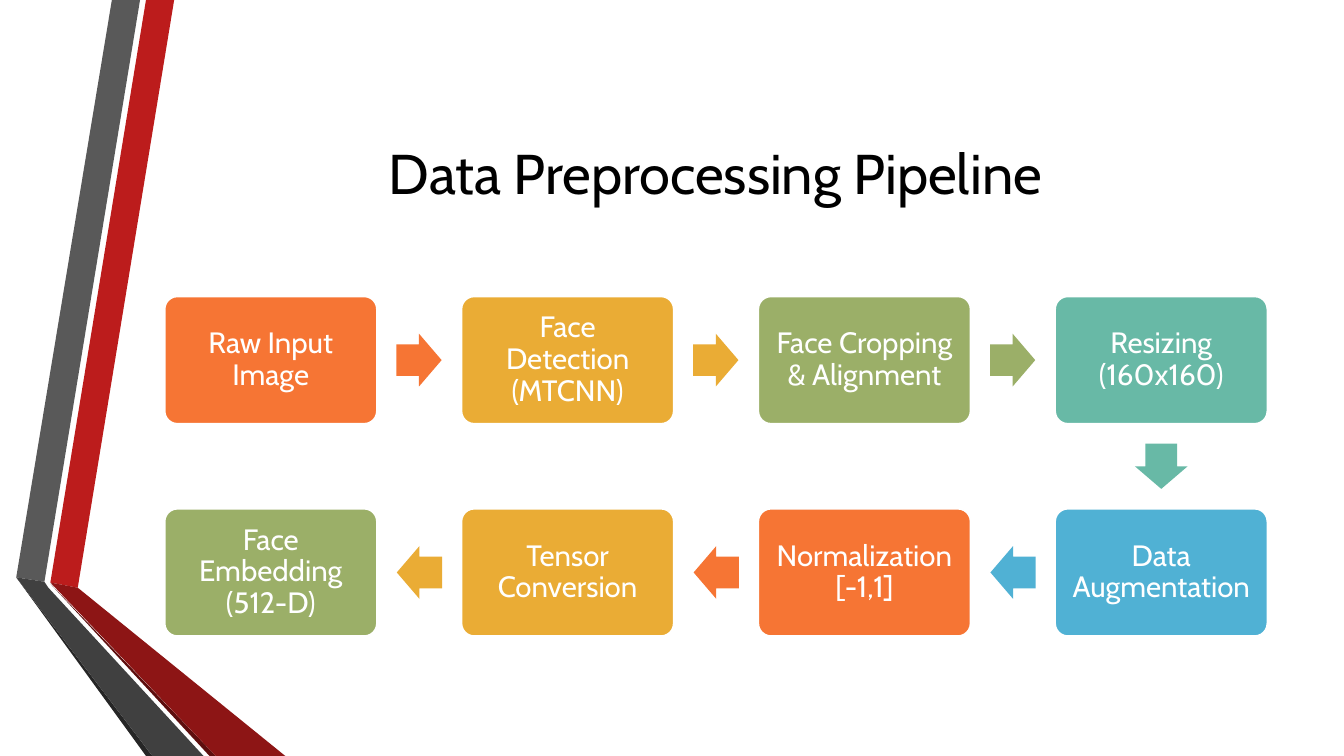
"""Build the data preprocessing pipeline slide."""
import pptx
import pptx.dml.color
import pptx.enum.shapes
import pptx.enum.text
import pptx.util

Cm = pptx.util.Cm
Pt = pptx.util.Pt
Kind = pptx.enum.shapes.MSO_SHAPE

theme = {
    "font": "Cabin", "title": 40, "label": 21,
    "black": "000000", "white": "FFFFFF",
    "red": "BC1C1C", "maroon": "8D1515", "wine": "5E0E0E",
    "gray": "595959", "dark": "404040", "coal": "262626",
    "orange": "F67534", "gold": "EAAC35", "green": "9BAF68",
    "teal": "68B9A6", "blue": "50B1D4",
}


def paint(shape, color):
    shape.shadow.inherit = False
    shape.fill.solid()
    shape.fill.fore_color.rgb = pptx.dml.color.RGBColor.from_string(theme[color])
    shape.line.fill.background()


def write(shape, text, size, color):
    frame = shape.text_frame
    frame.text = text
    frame.word_wrap = True
    frame.auto_size = pptx.enum.text.MSO_AUTO_SIZE.NONE
    frame.vertical_anchor = pptx.enum.text.MSO_ANCHOR.MIDDLE
    para = frame.paragraphs[0]
    para.alignment = pptx.enum.text.PP_ALIGN.CENTER
    font = para.runs[0].font
    font.name = theme["font"]
    font.size = Pt(theme[size])
    font.color.rgb = pptx.dml.color.RGBColor.from_string(theme[color])
    return para


deck = pptx.Presentation()
deck.slide_width, deck.slide_height = Cm(33.87), Cm(19.05)
slide = deck.slides.add_slide(deck.slide_layouts[5])
shapes = slide.shapes

bands = [
    ("red", [(1.27, 14.68), (1.96, 14.81), (4.39, 0), (3.68, 0)]),
    ("gray", [(3.53, 0), (2.82, 0), (0.41, 14.55), (1.12, 14.66)]),
    ("coal", [(0.41, 14.55), (3.68, 19.05), (3.84, 19.05)]),
    ("wine", [(1.27, 14.71), (5.28, 19.05), (5.44, 19.05)]),
    ("maroon", [(1.27, 14.68), (5.44, 19.05), (7.19, 19.05), (1.96, 14.81)]),
    ("dark", [(5.13, 19.05), (1.22, 14.81), (1.12, 14.66), (0.41, 14.55),
              (3.84, 19.05)]),
]
for color, spots in bands:
    first, *rest = [(Cm(x), Cm(y)) for x, y in spots]
    pen = shapes.build_freeform(*first)
    pen.add_line_segments(rest, close=True)
    paint(pen.convert_to_shape(), color)

title = shapes.title
title.left, title.top = Cm(4.11), Cm(1.9)
title.width, title.height = Cm(27.84), Cm(4.88)
write(title, "Data Preprocessing Pipeline", "title", "black").space_after = Pt(6)

steps = [
    ("Raw Input Image", "orange"),
    ("Face Detection (MTCNN)", "gold"),
    ("Face Cropping & Alignment", "green"),
    ("Resizing (160x160)", "teal"),
    ("Data Augmentation", "blue"),
    ("Normalization [-1,1]", "orange"),
    ("Tensor Conversion", "gold"),
    ("Face Embedding (512-D)", "green"),
]
cols = 4
left, top = 4.15, 7.47
wide, high = 5.35, 3.21
pitch, drop = 7.48, 5.35
long, thick = 1.14, 1.33
gap = 1.06

for i, (text, color) in enumerate(steps):
    row, col = divmod(i, cols)
    if row:
        col = cols - 1 - col
    x, y = left + col * pitch, top + row * drop
    box = shapes.add_shape(Kind.ROUNDED_RECTANGLE, Cm(x), Cm(y), Cm(wide), Cm(high))
    box.adjustments[0] = 0.1
    paint(box, color)
    box.line.color.rgb = pptx.dml.color.RGBColor.from_string(theme["white"])
    box.line.width = Pt(1.25)
    write(box, text, "label", "white").line_spacing = 0.9
    frame = box.text_frame
    frame.margin_left = frame.margin_right = Cm(0.3)
    frame.margin_top = frame.margin_bottom = Cm(0.3)

    if i == len(steps) - 1:
        break
    midx, midy = x + wide / 2, y + high / 2
    if i == cols - 1:
        turn, midy = 90, y + drop / 2 + high / 2
    elif row:
        turn, midx = 180, x - gap
    else:
        turn, midx = 0, x + wide + gap
    arrow = shapes.add_shape(Kind.RIGHT_ARROW, Cm(midx - long / 2),
                             Cm(midy - thick / 2), Cm(long), Cm(thick))
    arrow.adjustments[0] = 0.6
    arrow.adjustments[1] = 0.5
    arrow.rotation = turn
    paint(arrow, color)

deck.save("out.pptx")
